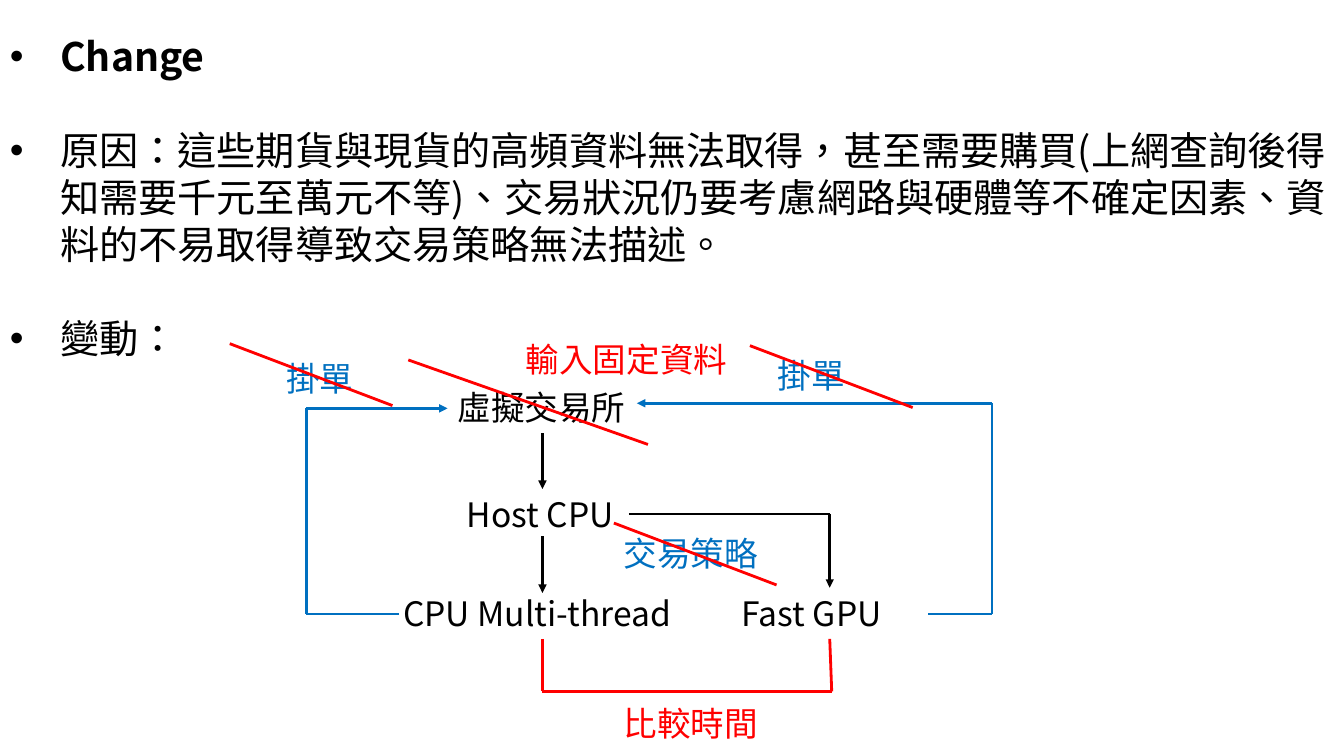
from dataclasses import dataclass
from itertools import pairwise

from lxml.etree import SubElement
from pptx import Presentation
from pptx.dml.color import RGBColor
from pptx.enum.shapes import MSO_CONNECTOR as CONN
from pptx.enum.text import MSO_AUTO_SIZE as AUTO
from pptx.oxml.ns import qn
from pptx.util import Cm, Pt

BLACK = RGBColor(0x00, 0x00, 0x00)
BLUE = RGBColor(0x00, 0x70, 0xC0)
RED = RGBColor(0xFF, 0x00, 0x00)
FONT = "Noto Sans CJK SC"
LEADING = 1.2  # line pitch relative to text size

# Shared diagram coordinates, in cm
CPU_X, GPU_X = 13.67, 20.91
LEFT_X, RIGHT_X = 7.72, 25.0
HOST_Y, WORKER_Y = 12.95, 15.47
COMPARE_TOP, COMPARE_Y = 16.1, 17.42


@dataclass
class Label:
    text: str
    x: float
    y: float
    w: float
    color: RGBColor = BLACK


@dataclass
class Route:
    points: list[tuple[float, float]]
    color: RGBColor = BLACK
    arrow: bool = False


def strike(x: float, y: float, dx: float = 4.1, dy: float = 1.56) -> Route:
    return Route([(x, y), (x + dx, y + dy)], RED)


def style(p, size: float, color: RGBColor, bold: bool = False) -> None:
    p.line_spacing = Pt(size * LEADING)
    for r in p.runs:
        f = r.font
        f.name, f.size, f.bold = FONT, Pt(size), bold
        f.color.rgb = color
        rPr = r._r.get_or_add_rPr()
        rPr.set("lang", "zh-TW")
        SubElement(rPr, qn("a:ea")).set("typeface", FONT)


def add_text(x: float, y: float, w: float, h: float, wrap: bool):
    tf = s.shapes.add_textbox(Cm(x), Cm(y), Cm(w), Cm(h)).text_frame
    tf.word_wrap = wrap
    tf.auto_size = AUTO.SHAPE_TO_FIT_TEXT
    return tf


def add_bullet(p) -> None:
    pPr = p._p.get_or_add_pPr()
    pPr.set("marL", str(Cm(1.27)))
    pPr.set("indent", str(Cm(-1.27)))
    SubElement(pPr, qn("a:buFont")).set("typeface", "Arial")
    SubElement(pPr, qn("a:buChar")).set("char", "•")


def add_label(label: Label) -> None:
    tf = add_text(label.x, label.y, label.w, 1.27, wrap=False)
    tf.text = label.text
    style(tf.paragraphs[0], 24, label.color)


def add_route(route: Route) -> None:
    for (x1, y1), (x2, y2) in pairwise(route.points):
        c = s.shapes.add_connector(CONN.STRAIGHT, Cm(x1), Cm(y1), Cm(x2), Cm(y2))
        c.line.color.rgb = route.color
        c.line.width = Pt(2)
        SubElement(c._element.spPr, qn("a:effectLst"))
    if route.arrow:
        SubElement(c.line._get_or_add_ln(), qn("a:tailEnd")).set("type", "triangle")


prs = Presentation()
prs.slide_width, prs.slide_height = Cm(33.87), Cm(19.05)
s = prs.slides.add_slide(prs.slide_layouts[6])

# Explanation
BULLETS = [
    "Change",
    "原因：這些期貨與現貨的高頻資料無法取得，甚至需要購買(上網查詢後得知需要千元至萬元不等)"
    "、交易狀況仍要考慮網路與硬體等不確定因素、資料的不易取得導致交易策略無法描述。",
    "變動：",
]
tf = add_text(0, 0.69, 33.87, 8.64, wrap=True)
tf.text = "\n".join(BULLETS)
for i, p in enumerate(tf.paragraphs):
    style(p, 28, BLACK, bold=i == 0)
    if i:
        p.space_before = Pt(28 * LEADING)
    add_bullet(p)

# Diagram labels
LABELS = [
    Label("虛擬交易所", 11.28, 9.63, 4.78),
    Label("Host CPU", 11.51, 12.32, 4.34),
    Label("CPU Multi-thread", 9.91, 14.81, 7.54),
    Label("Fast GPU", 18.44, 14.81, 4.93),
    Label("輸入固定資料", 13.0, 8.41, 5.64, RED),
    Label("掛單", 19.35, 8.81, 2.24, BLUE),
    Label("掛單", 6.96, 8.89, 2.24, BLUE),
    Label("比較時間", 15.47, 17.6, 3.94, RED),
    Label("交易策略", 15.47, 13.31, 3.94, BLUE),
]
for label in LABELS:
    add_label(label)

# Data flow, order feedback, time comparison and strike-outs
ROUTES = [
    Route([(CPU_X, 10.92), (CPU_X, 12.32)], arrow=True),
    Route([(CPU_X, 13.51), (CPU_X, 14.94)], arrow=True),
    Route([(15.85, HOST_Y), (GPU_X, HOST_Y), (GPU_X, 14.81)], arrow=True),
    Route([(10.06, WORKER_Y), (LEFT_X, WORKER_Y), (LEFT_X, 10.29), (11.28, 10.29)], BLUE, True),
    Route([(23.39, WORKER_Y), (RIGHT_X, WORKER_Y), (RIGHT_X, 10.16), (16.05, 10.16)], BLUE, True),
    Route([(CPU_X, COMPARE_TOP), (CPU_X, COMPARE_Y), (20.96, COMPARE_Y), (GPU_X, COMPARE_TOP)], RED),
    strike(10.29, 9.07, 6.04, 2.13),
    strike(18.9, 8.71),
    strike(5.79, 8.66),
    strike(15.47, 13.18),
]
for route in ROUTES:
    add_route(route)

prs.save("out.pptx")
